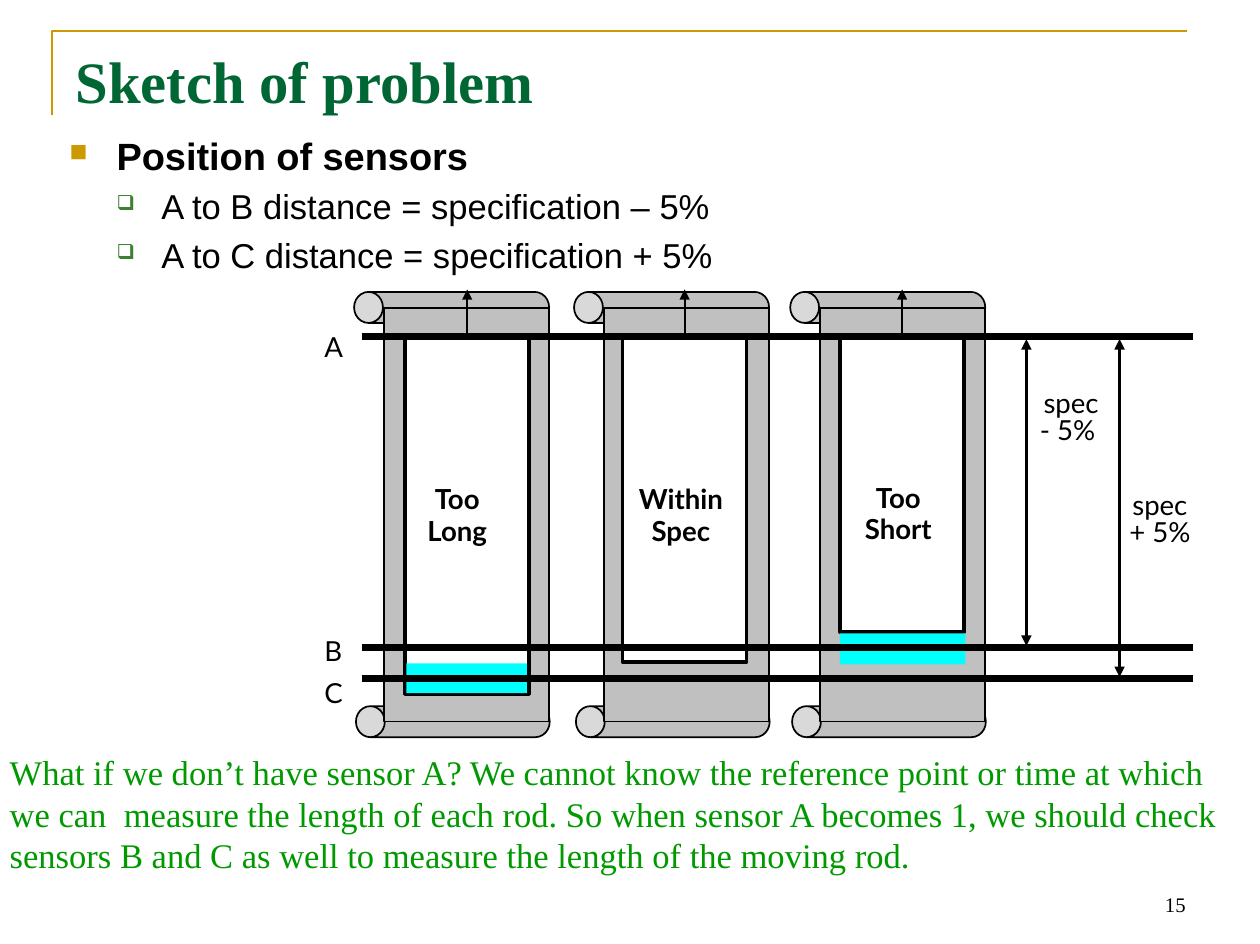
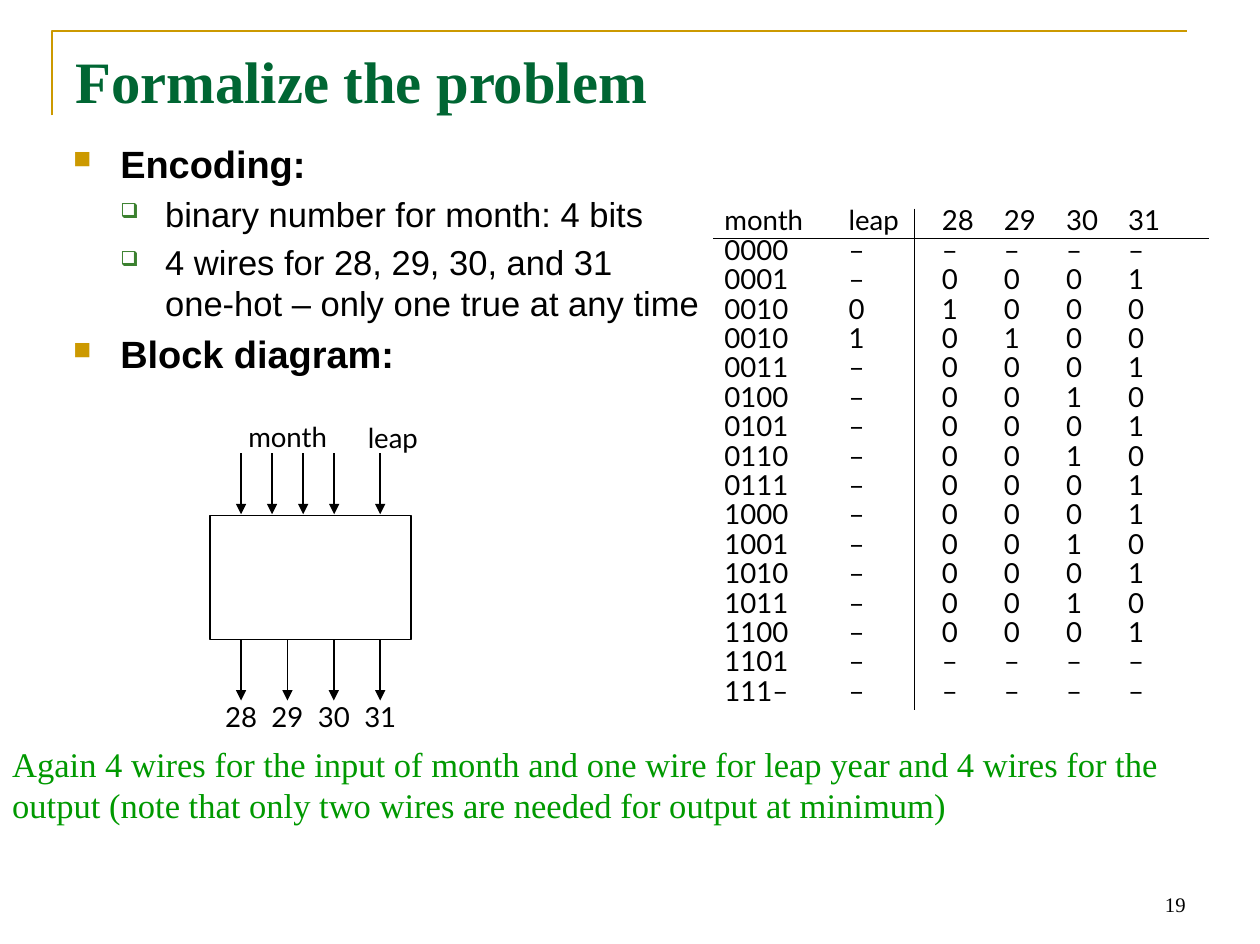
from lxml import etree
from pptx import Presentation
from pptx.dml.color import RGBColor
from pptx.enum.shapes import MSO_CONNECTOR, MSO_SHAPE
from pptx.enum.text import MSO_ANCHOR, PP_ALIGN
from pptx.oxml.ns import qn
from pptx.util import Inches, Pt

BLACK = RGBColor(0x00, 0x00, 0x00)
WHITE = RGBColor(0xFF, 0xFF, 0xFF)
GOLD = RGBColor(0xCC, 0x99, 0x00)
DARK_GREEN = RGBColor(0x00, 0x66, 0x33)
LEAF_GREEN = RGBColor(0x3B, 0x81, 0x2F)
NOTE_GREEN = RGBColor(0x00, 0x99, 0x00)
GRAY = RGBColor(0xC0, 0xC0, 0xC0)
CYAN = RGBColor(0x00, 0xFF, 0xFF)
SERIF, SANS, LABEL = "Times New Roman", "Arial", "Lato"
LEFT, CENTER, RIGHT = PP_ALIGN.LEFT, PP_ALIGN.CENTER, PP_ALIGN.RIGHT


def add_text(s, text, x, y, w, h, size=16, font=LABEL, color=BLACK, bold=False,
             align=LEFT, spacing=None, inset=(0.02, 0.03), wrap=False):
    """Add a one-paragraph text box; a newline in text is a line break."""
    tf = s.shapes.add_textbox(Inches(x), Inches(y), Inches(w), Inches(h)).text_frame
    tf.word_wrap = wrap
    tf.margin_left = tf.margin_right = Inches(inset[0])
    tf.margin_top = tf.margin_bottom = Inches(inset[1])
    p = tf.paragraphs[0]
    p.alignment = align
    if spacing:
        p.line_spacing = Pt(spacing)
    for i, line in enumerate(text.split("\n")):
        if i:
            p.add_line_break()
        r = p.add_run()
        r.text = line
        r.font.name, r.font.size, r.font.bold = font, Pt(size), bold
        r.font.color.rgb = color
    return tf


def add_line(s, x1, y1, x2, y2, width=1, heads=()):
    """Add a straight line; heads lists the ends that get an arrowhead."""
    line = s.shapes.add_connector(MSO_CONNECTOR.STRAIGHT, Inches(x1), Inches(y1),
                                  Inches(x2), Inches(y2))
    line.line.color.rgb = BLACK
    line.line.width = Pt(width)
    for head in heads:
        etree.SubElement(line.line._get_or_add_ln(), qn("a:" + head), type="triangle")
    etree.SubElement(line._element.spPr, qn("a:effectLst"))
    return line


# By level: left margin, hanging indent, size, bold, bullet, bullet colour, bullet size
BULLETS = [
    (0.38, 0.38, 22, True, "■", GOLD, 65),
    (0.74, 0.36, 20, False, "❑", LEAF_GREEN, 60),
]

# title, page number, body position, bullets, note position, note
PAGES = [
    ("Sketch of problem", "15", (0.46, 1.02),
     [(0, "Position of sensors"),
      (1, "A to B distance = specification – 5%"),
      (1, "A to C distance = specification + 5%")],
     (-0.02, 6),
     "What if we don’t have sensor A? We cannot know the reference point or time "
     "at which we can  measure the length of each rod. So when sensor A becomes 1, "
     "we should check sensors B and C as well to measure the length of the moving rod."),
    ("Formalize the problem", "19", (0.49, 1.08),
     [(0, "Encoding:"),
      (1, "binary number for month: 4 bits"),
      (1, "4 wires for 28, 29, 30, and 31\none-hot – only one true at any time"),
      (0, "Block diagram:")],
     (0, 5.93),
     "Again 4 wires for the input of month and one wire for leap year and 4 wires "
     "for the output (note that only two wires are needed for output at minimum)"),
]

prs = Presentation()
prs.slide_width, prs.slide_height = Inches(10.14), Inches(7.6)
blank = prs.slide_layouts[6]
roomy = dict(inset=(0.1, 0.05), wrap=True)

# Shared parts: corner rule, title, bullets, note and page number
for title, number, body_at, bullets, note_at, note in PAGES:
    s = prs.slides.add_slide(blank)
    builder = s.shapes.build_freeform(Inches(0.42), Inches(0.93))
    builder.add_line_segments([(Inches(0.42), Inches(0.25)),
                               (Inches(9.55), Inches(0.25))], close=False)
    rule = builder.convert_to_shape()
    rule.shadow.inherit = False
    rule.fill.background()
    rule.line.color.rgb = GOLD
    rule.line.width = Pt(1.5)

    add_text(s, title, 0.51, 0.31, 9.12, 0.7, 34, SERIF, DARK_GREEN, True, **roomy)
    add_text(s, note, *note_at, 10.14, 1.1, 20, SERIF, NOTE_GREEN, **roomy)
    tf = add_text(s, number, 7.27, 6.92, 2.37, 0.51, 12, SERIF, align=RIGHT, **roomy)
    tf.vertical_anchor = MSO_ANCHOR.BOTTOM

    body = s.shapes.add_textbox(Inches(body_at[0]), Inches(body_at[1]),
                                Inches(9.12), Inches(2.2))
    tf = body.text_frame
    tf.word_wrap = True
    for i, (level, text) in enumerate(bullets):
        margin, hanging, size, bold, char, color, percent = BULLETS[level]
        p = tf.add_paragraph() if i else tf.paragraphs[0]
        p.level = level
        p.space_before = Pt(4)
        pPr = p._p.get_or_add_pPr()
        pPr.set("marL", str(Inches(margin)))
        pPr.set("indent", str(-Inches(hanging)))
        clr = etree.SubElement(pPr, qn("a:buClr"))
        etree.SubElement(clr, qn("a:srgbClr"), val=str(color))
        etree.SubElement(pPr, qn("a:buSzPct"), val=str(percent * 1000))
        etree.SubElement(pPr, qn("a:buChar"), char=char)
        for j, line in enumerate(text.split("\n")):
            if j:
                p.add_line_break()
            r = p.add_run()
            r.text = line
            r.font.name, r.font.size, r.font.bold = SANS, Pt(size), bold
            r.font.color.rgb = BLACK

sketch, formal = prs.slides

# Sketch: three conveyor belts, each with a rod
LINE_A, LINE_B, LINE_C = 2.71, 5.21, 5.46
LABEL_WIDTH = 0.9
RODS = [  # belt left, rod left, rod length, label, label centre, label top
    (3.09, 3.26, 2.88, "Too\nLong", 3.68, 3.87),
    (4.86, 5.01, 2.62, "Within\nSpec", 5.48, 3.87),
    (6.6, 6.76, 2.38, "Too\nShort", 7.23, 3.86),
]
for belt_x, rod_x, length, label, label_x, label_y in RODS:
    belt = [
        (MSO_SHAPE.CAN, belt_x + 0.42, 1.69, 0.25, 1.57, GRAY, 1),
        (MSO_SHAPE.CAN, belt_x + 0.43, 5.03, 0.25, 1.56, GRAY, 1),
        (MSO_SHAPE.RECTANGLE, belt_x, 2.48, 1.33, 3.33, GRAY, 1),
        (MSO_SHAPE.RECTANGLE, rod_x, LINE_A, 1, length, WHITE, 2),
    ]
    for kind, x, y, w, h, color, width in belt:
        sp = sketch.shapes.add_shape(kind, Inches(x), Inches(y), Inches(w), Inches(h))
        sp.shadow.inherit = False
        sp.fill.solid()
        sp.fill.fore_color.rgb = color
        sp.line.color.rgb = BLACK
        sp.line.width = Pt(width)
        if kind == MSO_SHAPE.CAN:
            sp.rotation = 270
            sp.adjustments[0] = 0.93
    motion = add_line(sketch, rod_x + 0.5, LINE_A, rod_x + 0.5, 2.33, heads=["tailEnd"])
    motion.begin_connect(sp, 0)  # sp is the rod, the last shape of the belt
    add_text(sketch, label, label_x - LABEL_WIDTH / 2, label_y, LABEL_WIDTH, 0.65,
             bold=True, align=CENTER, spacing=18)

# Excess and missing lengths
for x, y, w, h in [(3.27, 5.34, 0.97, 0.24), (6.76, 5.1, 1.01, 0.25)]:
    sp = sketch.shapes.add_shape(MSO_SHAPE.RECTANGLE, Inches(x), Inches(y),
                                 Inches(w), Inches(h))
    sp.shadow.inherit = False
    sp.fill.solid()
    sp.fill.fore_color.rgb = CYAN
    sp.line.fill.background()

for name, label_y, y in [("A", 2.67, LINE_A), ("B", 5.12, LINE_B), ("C", 5.46, LINE_C)]:
    add_text(sketch, name, 2.59, label_y, 0.25, 0.36, spacing=16)
    add_line(sketch, 2.91, y, 9.6, y, 4)

for text, text_x, text_y, w, x, end in [("spec\n- 5% ", 8.32, 3.12, 0.6, 8.26, LINE_B),
                                        ("spec\n+ 5%", 9, 3.94, 0.67, 9.01, LINE_C)]:
    add_text(sketch, text, text_x, text_y, w, 0.58, align=CENTER, spacing=16)
    add_line(sketch, x, LINE_A + 0.02, x, end - 0.01, 2, ["headEnd", "tailEnd"])

# Formalize: block diagram
block = formal.shapes.add_shape(MSO_SHAPE.RECTANGLE, Inches(1.69), Inches(4.15),
                                Inches(1.62), Inches(1))
block.shadow.inherit = False
block.fill.background()
block.line.color.rgb = BLACK
block.line.width = Pt(1)

for x in [1.94 + 0.25 * i for i in range(4)] + [3.06]:
    add_line(formal, x, 3.65, x, 4.14, heads=["tailEnd"])
add_text(formal, "month", 1.73, 3.31, 1.17, 0.44, align=CENTER, spacing=22)
add_text(formal, "leap", 2.94, 3.32, 0.94, 0.44, spacing=22)
OUTPUTS = ["28", "29", "30", "31"]
OUTPUT_GAP = (3.06 - 1.94) / (len(OUTPUTS) - 1)
for i, days in enumerate(OUTPUTS):
    x = 1.94 + OUTPUT_GAP * i
    add_line(formal, x, 5.15, x, 5.64, heads=["tailEnd"])
    add_text(formal, days, x - 0.37, 5.57, 0.74, 0.44, align=CENTER, spacing=22)

# Formalize: truth table
TRUTH = [row.split() for row in (
    "month leap 28 29 30 31",
    "0000 – – – – –",
    "0001 – 0 0 0 1",
    "0010 0 1 0 0 0",
    "0010 1 0 1 0 0",
    "0011 – 0 0 0 1",
    "0100 – 0 0 1 0",
    "0101 – 0 0 0 1",
    "0110 – 0 0 1 0",
    "0111 – 0 0 0 1",
    "1000 – 0 0 0 1",
    "1001 – 0 0 1 0",
    "1010 – 0 0 0 1",
    "1011 – 0 0 1 0",
    "1100 – 0 0 0 1",
    "1101 – – – – –",
    "111– – – – – –",
)]
WIDTHS = [1, 0.62, 0.5, 0.5, 0.5, 0.87]
ROW_HEIGHT = Pt(17)
table = formal.shapes.add_table(len(TRUTH), len(WIDTHS), Inches(5.74), Inches(1.67),
                                Inches(sum(WIDTHS)), ROW_HEIGHT * len(TRUTH)).table
table.first_row = table.horz_banding = False
for column, width in zip(table.columns, WIDTHS):
    column.width = Inches(width)
for i, values in enumerate(TRUTH):
    table.rows[i].height = ROW_HEIGHT
    for j, value in enumerate(values):
        cell = table.cell(i, j)
        cell.fill.background()
        cell.margin_left = Inches(0.09 if j < 2 else 0.22)
        cell.margin_right = cell.margin_top = cell.margin_bottom = 0
        p = cell.text_frame.paragraphs[0]
        p.line_spacing = ROW_HEIGHT
        r = p.add_run()
        r.text = value
        r.font.name, r.font.size = LABEL, Pt(16)
        r.font.color.rgb = BLACK
add_line(formal, 5.74, 1.92, 9.73, 1.92)
add_line(formal, 7.36, 1.68, 7.36, 5.72)

prs.save("out.pptx")
